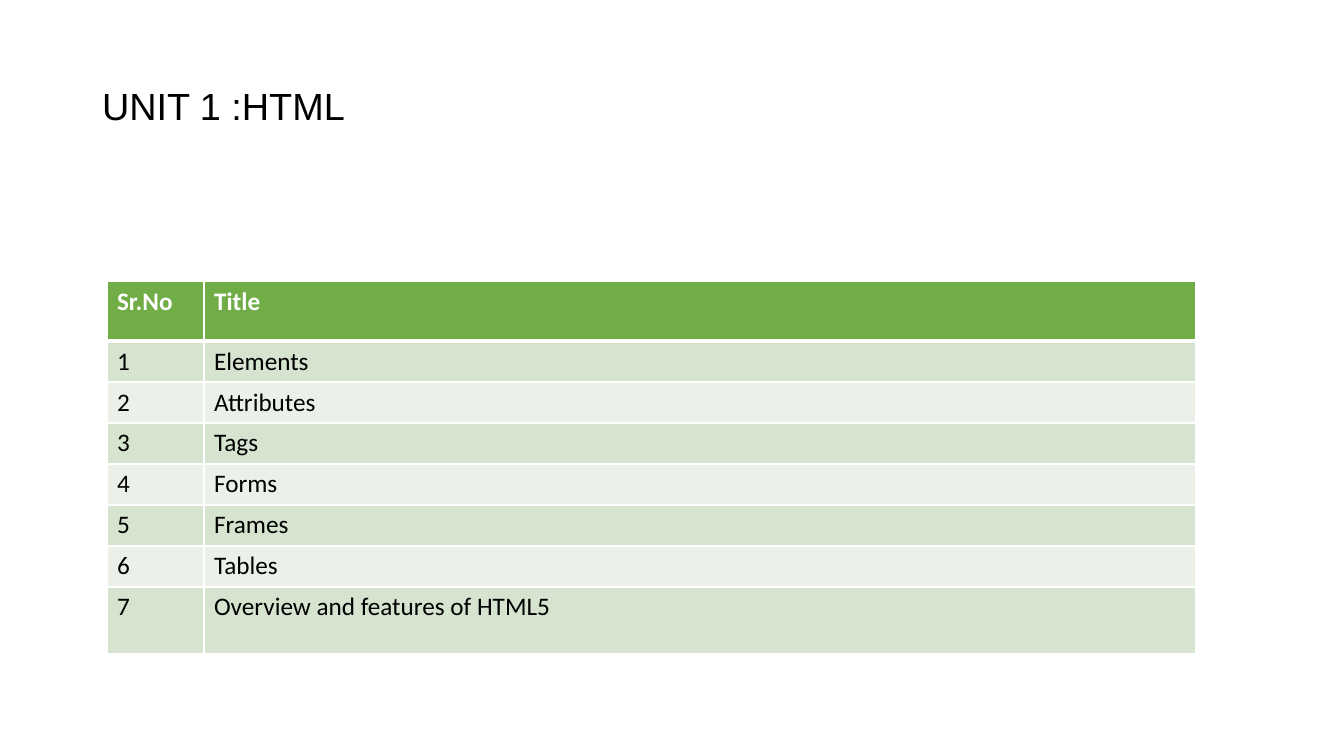
"""Builds the HTML unit slide with its numbered table of topics."""
from lxml import etree
from pptx import Presentation
from pptx.dml.color import RGBColor
from pptx.enum.text import MSO_ANCHOR, MSO_AUTO_SIZE, PP_ALIGN
from pptx.oxml.ns import qn
from pptx.util import Emu, Pt

TOP = MSO_ANCHOR.TOP
LEFT = PP_ALIGN.LEFT
NO_FIT = MSO_AUTO_SIZE.NONE
PX = 9071
COLORS = {
    "header": "70AD47",
    "odd": "D5E3CF",
    "even": "EBF1E9",
    "white": "FFFFFF",
    "black": "000000",
}
TOPICS = ["Elements", "Attributes", "Tags", "Forms", "Frames", "Tables",
          "Overview and features of HTML5"]
COLUMN_WIDTHS = [97, 992]
ROW_HEIGHTS = [60] + [41] * 6 + [67]


def write(frame, text, font="Calibri", size=18, color="black", bold=False, spacing=1.0):
    frame.text = text
    paragraph = frame.paragraphs[0]
    paragraph.alignment = LEFT
    paragraph.line_spacing = spacing
    style = paragraph.runs[0].font
    style.name, style.size, style.bold = font, Pt(size), bold
    style.color.rgb = RGBColor.from_string(COLORS[color])


def add_border(cell, side, points):
    line = etree.SubElement(cell._tc.get_or_add_tcPr(), qn(f"a:ln{side}"), w=str(Pt(points)))
    fill = etree.SubElement(line, qn("a:solidFill"))
    etree.SubElement(fill, qn("a:srgbClr"), val=COLORS["white"])


deck = Presentation()
deck.slide_width, deck.slide_height = Emu(1344 * PX), Emu(756 * PX)
slide = deck.slides.add_slide(deck.slide_layouts[5])

heading = slide.shapes.title
heading.left, heading.top = Emu(94 * PX), Emu(32 * PX)
heading.width, heading.height = Emu(1159 * PX), Emu(234 * PX)
heading_frame = heading.text_frame
heading_frame.auto_size = NO_FIT
heading_frame.word_wrap = True
heading_frame.vertical_anchor = TOP
heading_frame.margin_left, heading_frame.margin_top = Emu(8 * PX), Emu(56 * PX)
write(heading_frame, "UNIT 1 :HTML", font="Arial", size=27, spacing=0.9)

rows = [("Sr.No", "Title")] + [(str(number), topic) for number, topic in enumerate(TOPICS, 1)]
topics = slide.shapes.add_table(
    len(rows), len(COLUMN_WIDTHS), Emu(107 * PX), Emu(281 * PX),
    Emu(sum(COLUMN_WIDTHS) * PX), Emu(sum(ROW_HEIGHTS) * PX)).table
for column, width in zip(topics.columns, COLUMN_WIDTHS):
    column.width = Emu(width * PX)

for row_index, (labels, height) in enumerate(zip(rows, ROW_HEIGHTS)):
    topics.rows[row_index].height = Emu(height * PX)
    is_header = row_index == 0
    band = "header" if is_header else "odd" if row_index % 2 else "even"
    for column_index, label in enumerate(labels):
        cell = topics.cell(row_index, column_index)
        for side in "LRTB":
            under_header = (side == "B" and is_header) or (side == "T" and row_index == 1)
            add_border(cell, side, 3 if under_header else 1)
        cell.fill.solid()
        cell.fill.fore_color.rgb = RGBColor.from_string(COLORS[band])
        write(cell.text_frame, label, color="white" if is_header else "black", bold=is_header)

deck.save("out.pptx")
